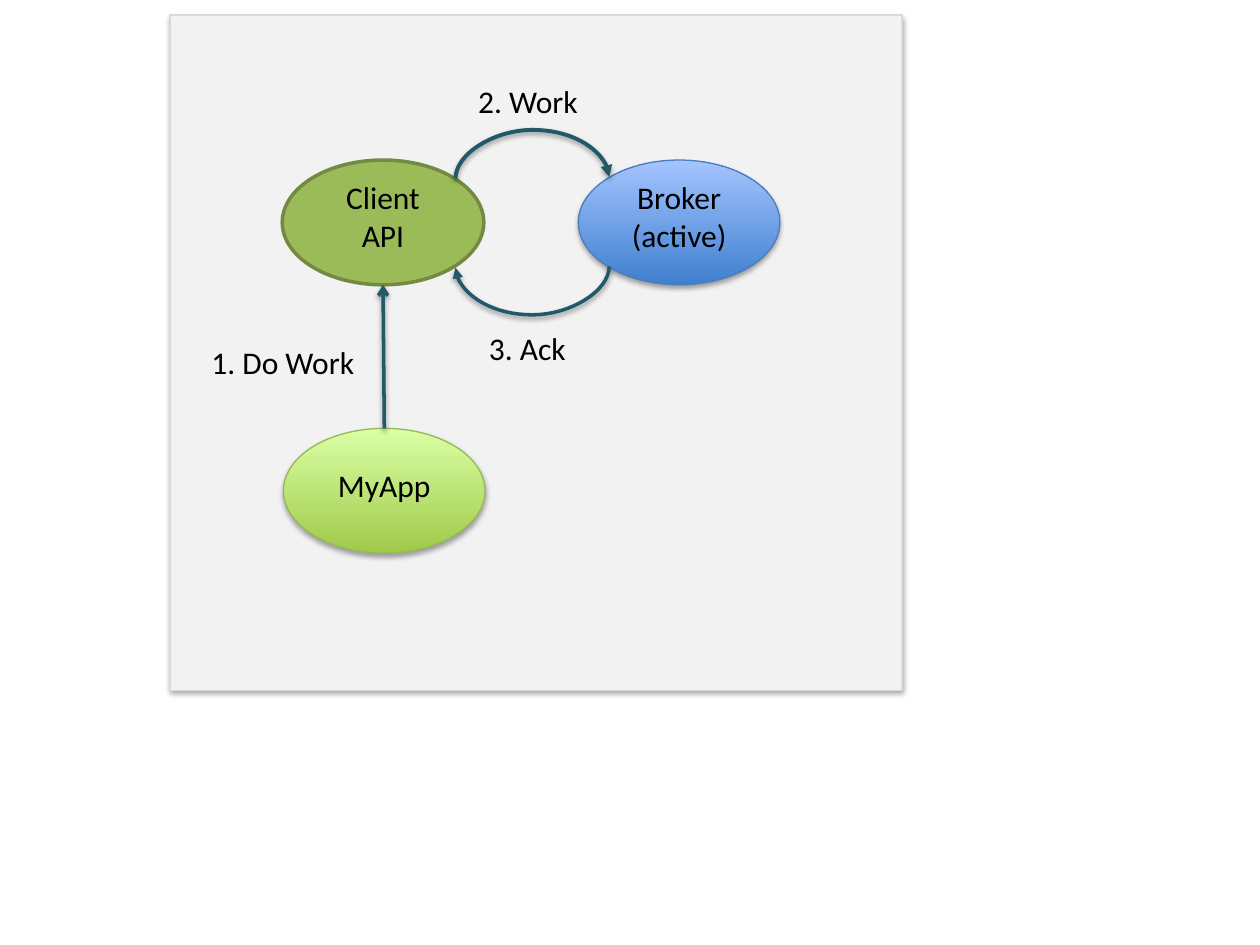
from lxml.etree import SubElement
from pptx import Presentation
from pptx.dml.color import RGBColor
from pptx.enum.shapes import MSO_CONNECTOR, MSO_SHAPE
from pptx.enum.text import MSO_ANCHOR, PP_ALIGN
from pptx.oxml.ns import qn
from pptx.util import Inches, Pt

PANEL_FILL = RGBColor(0xF2, 0xF2, 0xF2)
PANEL_LINE = RGBColor(0xD9, 0xD9, 0xD9)
BLUE_DARK = RGBColor(0x3F, 0x80, 0xCE)
BLUE_LIGHT = RGBColor(0xA4, 0xC4, 0xFF)
BLUE_LINE = RGBColor(0x4B, 0x7E, 0xBC)
LIME_DARK = RGBColor(0xA0, 0xCA, 0x4A)
LIME_LIGHT = RGBColor(0xDA, 0xFF, 0xA5)
LIME_LINE = RGBColor(0x98, 0xB9, 0x55)
GREEN = RGBColor(0x9B, 0xBB, 0x59)
GREEN_LINE = RGBColor(0x73, 0x8A, 0x42)
TEAL = RGBColor(0x21, 0x59, 0x68)
BLACK = RGBColor(0, 0, 0)

NODE_WIDTH, NODE_HEIGHT = 1.6, 0.99
TOP_RIGHT, BOTTOM_RIGHT, TOP_LEFT, BOTTOM_LEFT, TOP, BOTTOM = 7, 5, 1, 3, 0, 4


def add_shadow(shape, opacity, distance):
    properties = shape.element.spPr
    effects = properties.find(qn("a:effectLst"))
    if effects is None:
        effects = SubElement(properties, qn("a:effectLst"))
    shadow = SubElement(effects, qn("a:outerShdw"), blurRad=str(Pt(3.1)),
                        dist=str(Pt(distance)), dir="5400000", rotWithShape="0")
    color = SubElement(shadow, qn("a:srgbClr"), val="000000")
    SubElement(color, qn("a:alpha"), val=str(opacity * 1000))


def write_text(frame, lines):
    frame.word_wrap = True
    for index, line in enumerate(lines):
        para = frame.add_paragraph() if index else frame.paragraphs[0]
        para.text = line
        para.alignment = PP_ALIGN.CENTER
        para.font.size = Pt(18)
        para.font.name = "Calibri"
        para.font.color.rgb = BLACK


def add_box(page, kind, box, fills, line, weight, shadowed=True):
    shape = page.shapes.add_shape(kind, *map(Inches, box))
    if len(fills) == 1:
        shape.fill.solid()
        shape.fill.fore_color.rgb = fills[0]
    else:
        shape.fill.gradient()
        shape.fill.gradient_angle = 90
        for stop, color in zip(shape.fill.gradient_stops, fills):
            stop.color.rgb = color
    shape.line.color.rgb = line
    shape.line.width = Pt(weight)
    shape.shadow.inherit = False
    if shadowed:
        add_shadow(shape, 35, 1.8)
    return shape


def add_node(page, left, top, lines, fills, line, weight=0.75, shadowed=True):
    box = left, top, NODE_WIDTH, NODE_HEIGHT
    node = add_box(page, MSO_SHAPE.OVAL, box, fills, line, weight, shadowed)
    frame = node.text_frame
    frame.margin_left = frame.margin_right = frame.margin_top = 0
    frame.margin_bottom = Inches(0.1)
    frame.vertical_anchor = MSO_ANCHOR.MIDDLE
    write_text(frame, lines)
    return node


def add_label(page, left, top, width, text):
    label = page.shapes.add_textbox(*map(Inches, (left, top, width, 0.4)))
    write_text(label.text_frame, [text])


def add_arrow(page, kind, ends, source, target, weight, head):
    arrow = page.shapes.add_connector(kind, *map(Inches, ends))
    arrow.line.color.rgb = TEAL
    arrow.line.width = Pt(weight)
    SubElement(arrow.line._get_or_add_ln(), qn("a:tailEnd"), type=head)
    add_shadow(arrow, 38, 1.6)
    links = arrow.element.find(".//" + qn("p:cNvCxnSpPr"))
    for tag, (node, site) in (("a:stCxn", source), ("a:endCxn", target)):
        SubElement(links, qn(tag), id=str(node.shape_id), idx=str(site))
    return arrow


def add_arc(page, left, top, source, target, weight, flipped):
    span, rise, bulge = 1.22, 0.01, 0.39
    ends = left, top, left + rise, top + span
    arc = add_arrow(page, MSO_CONNECTOR.CURVE, ends, source, target, weight, "triangle")
    frame = arc.element.spPr.find(qn("a:xfrm"))
    frame.set("rot", "5400000")
    if flipped:
        frame.set("flipH", "1")
        frame.set("flipV", "1")
    guides = arc.element.spPr.find(qn("a:prstGeom")).find(qn("a:avLst"))
    SubElement(guides, qn("a:gd"), name="adj1",
               fmla=f"val {round(bulge / rise * 100000)}")


def add_message_flow(page, left, top):
    add_box(page, MSO_SHAPE.RECTANGLE, (left, top, 5.81, 5.36),
            [PANEL_FILL], PANEL_LINE, 0.75)
    row = top + 1.15
    broker = add_node(page, left + 3.24, row, ["Broker (active)"],
                      [BLUE_DARK, BLUE_LIGHT], BLUE_LINE)
    client = add_node(page, left + 0.89, row, ["Client", "API"],
                      [GREEN], GREEN_LINE, 2, shadowed=False)
    app = add_node(page, left + 0.9, top + 3.28, ["MyApp"],
                   [LIME_DARK, LIME_LIGHT], LIME_LINE)
    ends = left + 1.7, top + 3.28, left + 1.69, row + NODE_HEIGHT
    add_arrow(page, MSO_CONNECTOR.STRAIGHT, ends, (app, TOP), (client, BOTTOM), 2, "arrow")
    add_arc(page, left + 2.87, top + 1.39, (broker, BOTTOM_LEFT),
            (client, BOTTOM_RIGHT), 2, flipped=False)
    add_arc(page, left + 2.87, top + 0.68, (client, TOP_RIGHT),
            (broker, TOP_LEFT), 2.25, flipped=True)
    add_label(page, left + 0.03, top + 2.55, 1.73, "1. Do Work")
    add_label(page, left + 2.19, top + 0.48, 1.3, "2. Work")
    add_label(page, left + 2.3, top + 2.44, 1.07, "3. Ack")


deck = Presentation()
deck.slide_width, deck.slide_height = Inches(10), Inches(7.5)
page = deck.slides.add_slide(deck.slide_layouts[6])
add_message_flow(page, 1.35, 0.12)
deck.save("out.pptx")
